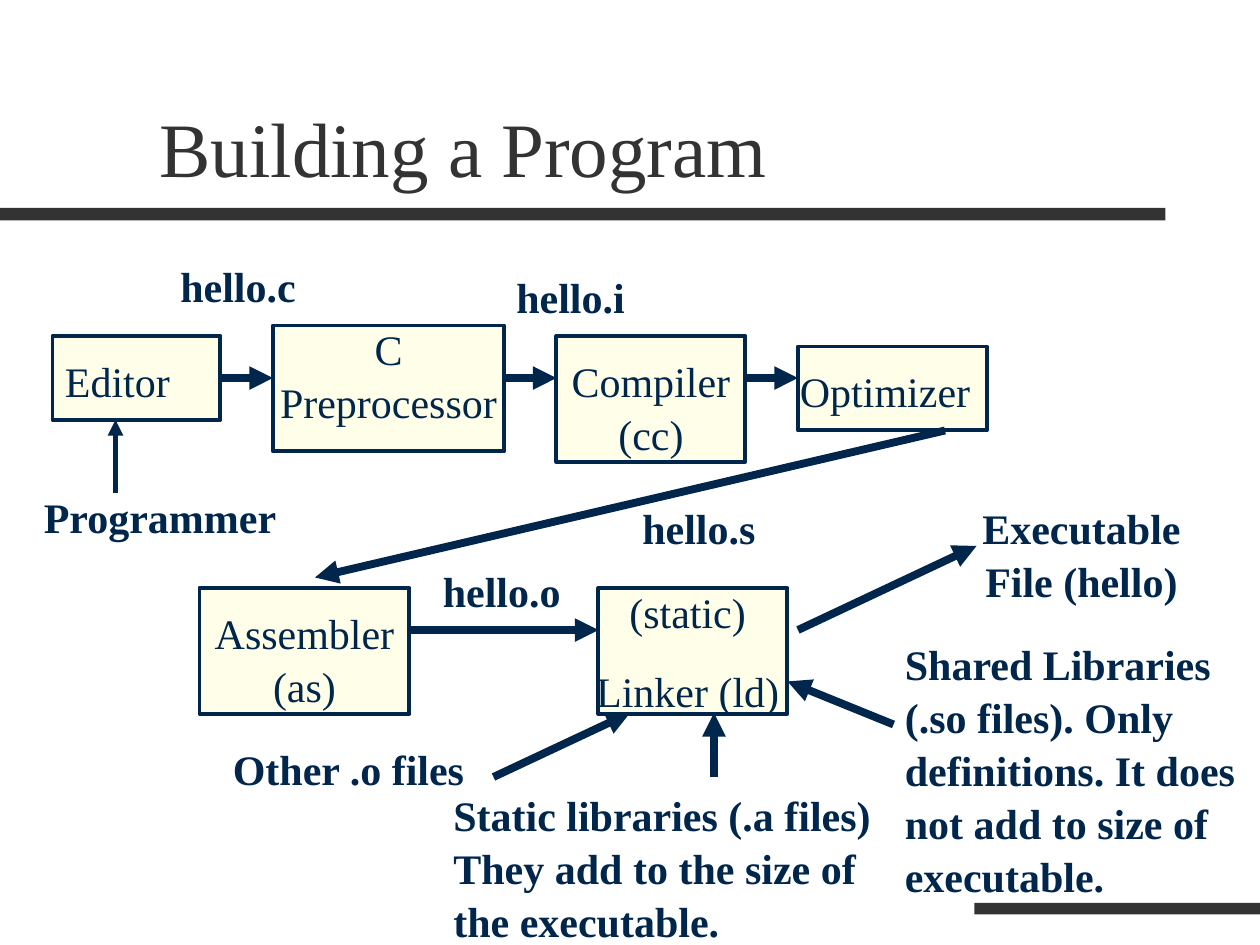
from dataclasses import dataclass
from typing import Optional

from lxml.etree import SubElement
from pptx import Presentation
from pptx.dml.color import RGBColor
from pptx.enum.shapes import MSO_CONNECTOR, MSO_SHAPE
from pptx.enum.text import MSO_ANCHOR, MSO_AUTO_SIZE, PP_ALIGN
from pptx.oxml.ns import qn
from pptx.util import Emu, Pt

PX = 7620


@dataclass(frozen=True)
class Theme:
    font: str = "Times New Roman"
    title_color: RGBColor = RGBColor(0x33, 0x33, 0x33)
    ink: RGBColor = RGBColor(0x00, 0x26, 0x4C)
    box_fill: RGBColor = RGBColor(0xFF, 0xFF, 0xE9)
    title_size: Pt = Pt(44)
    body_size: Pt = Pt(24)
    paragraph_gap: Pt = Pt(15)
    line_spacing: float = 1.05
    outline: Pt = Pt(2.25)


@dataclass(frozen=True)
class Rect:
    x: int
    y: int
    w: int
    h: int

    def emu(self) -> tuple:
        return tuple(Emu(v * PX) for v in (self.x, self.y, self.w, self.h))


@dataclass(frozen=True)
class Label:
    text: str
    rect: Rect
    bold: bool = True
    centered: bool = False


@dataclass(frozen=True)
class Stage:
    name: str
    box: Rect
    label: Label


@dataclass(frozen=True)
class Arrow:
    x1: int
    y1: int
    x2: int
    y2: int
    width: float = 4.5
    source: Optional[str] = None


THEME = Theme()

BARS = [Rect(0, 198, 1110, 12), Rect(928, 860, 272, 11)]

STAGES = [
    Stage("editor", Rect(50, 320, 160, 80),
          Label("Editor", Rect(50, 330, 160, 60), False)),
    Stage("preprocessor", Rect(260, 310, 220, 120),
          Label("C Preprocessor", Rect(240, 300, 260, 108), False, True)),
    Stage("compiler", Rect(530, 320, 180, 120),
          Label("Compiler\v(cc)", Rect(530, 330, 180, 108), False, True)),
    Stage("optimizer", Rect(760, 330, 180, 80),
          Label("Optimizer", Rect(750, 340, 210, 60), False)),
    Stage("assembler", Rect(190, 560, 200, 120),
          Label("Assembler (as)", Rect(190, 570, 200, 108), False, True)),
    Stage("linker", Rect(570, 560, 180, 120),
          Label("(static)\nLinker (ld)", Rect(530, 550, 250, 133), False, True)),
]

LABELS = [
    Label("Programmer", Rect(30, 460, 250, 60)),
    Label("hello.c", Rect(160, 240, 160, 60)),
    Label("hello.i", Rect(480, 250, 150, 60)),
    Label("hello.s", Rect(600, 470, 140, 60)),
    Label("hello.o", Rect(410, 530, 150, 60)),
    Label("Executable File (hello)", Rect(910, 470, 240, 108), centered=True),
    Label("Other .o files", Rect(210, 700, 290, 60)),
    Label("Static libraries (.a files) They add to the size of the executable.",
          Rect(420, 744, 460, 156)),
    Label("Shared Libraries (.so files). Only definitions. "
          "It does not add to size of executable.", Rect(850, 600, 350, 252)),
]

ARROWS = [
    Arrow(110, 470, 110, 400, width=3),
    Arrow(210, 360, 260, 360, source="editor"),
    Arrow(480, 360, 530, 360),
    Arrow(710, 360, 760, 360),
    Arrow(900, 410, 300, 550),
    Arrow(390, 600, 570, 600),
    Arrow(760, 600, 930, 520),
    Arrow(470, 740, 600, 679),
    Arrow(680, 740, 680, 679),
    Arrow(851, 690, 750, 649),
]


def add_rect(s, rect: Rect, fill: RGBColor, line: Optional[RGBColor] = None):
    sp = s.shapes.add_shape(MSO_SHAPE.RECTANGLE, *rect.emu())
    sp.shadow.inherit = False
    sp.fill.solid()
    sp.fill.fore_color.rgb = fill
    if line is None:
        sp.line.fill.background()
    else:
        sp.line.color.rgb = line
        sp.line.width = THEME.outline
    return sp


def add_title(s, text: str, rect: Rect) -> None:
    sp = s.shapes.title
    sp.left, sp.top, sp.width, sp.height = rect.emu()
    tf = sp.text_frame
    tf.text = text
    tf.vertical_anchor = MSO_ANCHOR.BOTTOM
    p = tf.paragraphs[0]
    p.alignment = PP_ALIGN.LEFT
    p.font.name = THEME.font
    p.font.size = THEME.title_size
    p.font.color.rgb = THEME.title_color


def add_label(s, label: Label) -> None:
    tf = s.shapes.add_textbox(*label.rect.emu()).text_frame
    tf.word_wrap = True
    tf.auto_size = MSO_AUTO_SIZE.SHAPE_TO_FIT_TEXT
    tf.text = label.text
    for i, p in enumerate(tf.paragraphs):
        p.alignment = PP_ALIGN.CENTER if label.centered else PP_ALIGN.LEFT
        p.line_spacing = THEME.line_spacing
        p.space_before = THEME.paragraph_gap if i else Pt(0)
        p.font.name = THEME.font
        p.font.size = THEME.body_size
        p.font.bold = label.bold
        p.font.color.rgb = THEME.ink


def add_arrow(s, arrow: Arrow, boxes: dict) -> None:
    ends = (Emu(v * PX) for v in (arrow.x1, arrow.y1, arrow.x2, arrow.y2))
    c = s.shapes.add_connector(MSO_CONNECTOR.STRAIGHT, *ends)
    c.line.color.rgb = THEME.ink
    c.line.width = Pt(arrow.width)
    if arrow.source:
        c.begin_connect(boxes[arrow.source], 3)
    props = c._element.spPr
    SubElement(props.find(qn("a:ln")), qn("a:tailEnd"), type="triangle")
    SubElement(props, qn("a:effectLst"))


def main() -> None:
    prs = Presentation()
    prs.slide_width, prs.slide_height = Emu(1200 * PX), Emu(900 * PX)
    s = prs.slides.add_slide(prs.slide_layouts[5])
    for bar in BARS:
        add_rect(s, bar, THEME.title_color)
    add_title(s, "Building a Program", Rect(140, 40, 1020, 150))
    boxes = {st.name: add_rect(s, st.box, THEME.box_fill, THEME.ink) for st in STAGES}
    for label in [st.label for st in STAGES] + LABELS:
        add_label(s, label)
    for arrow in ARROWS:
        add_arrow(s, arrow, boxes)
    prs.save("out.pptx")


if __name__ == "__main__":
    main()
